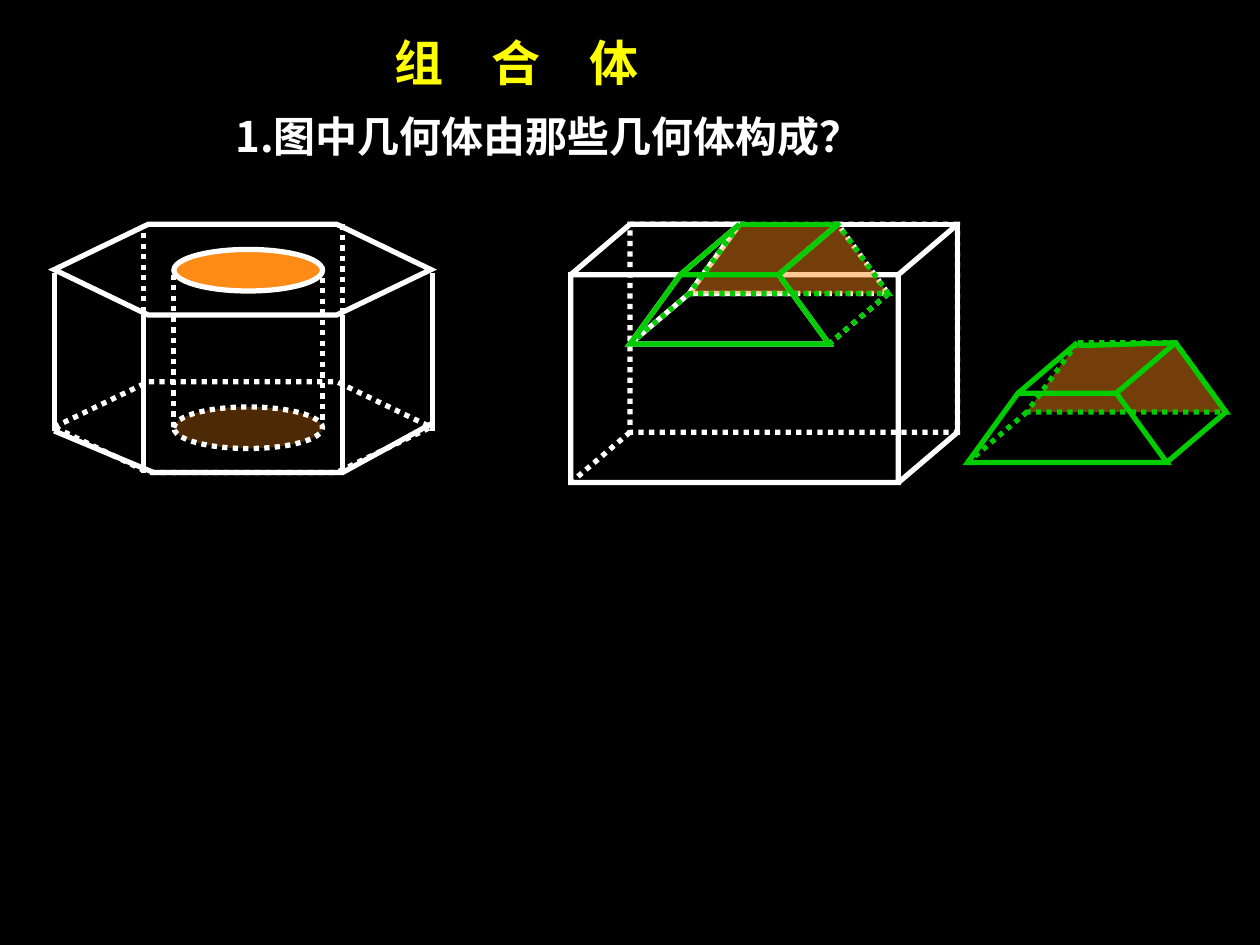
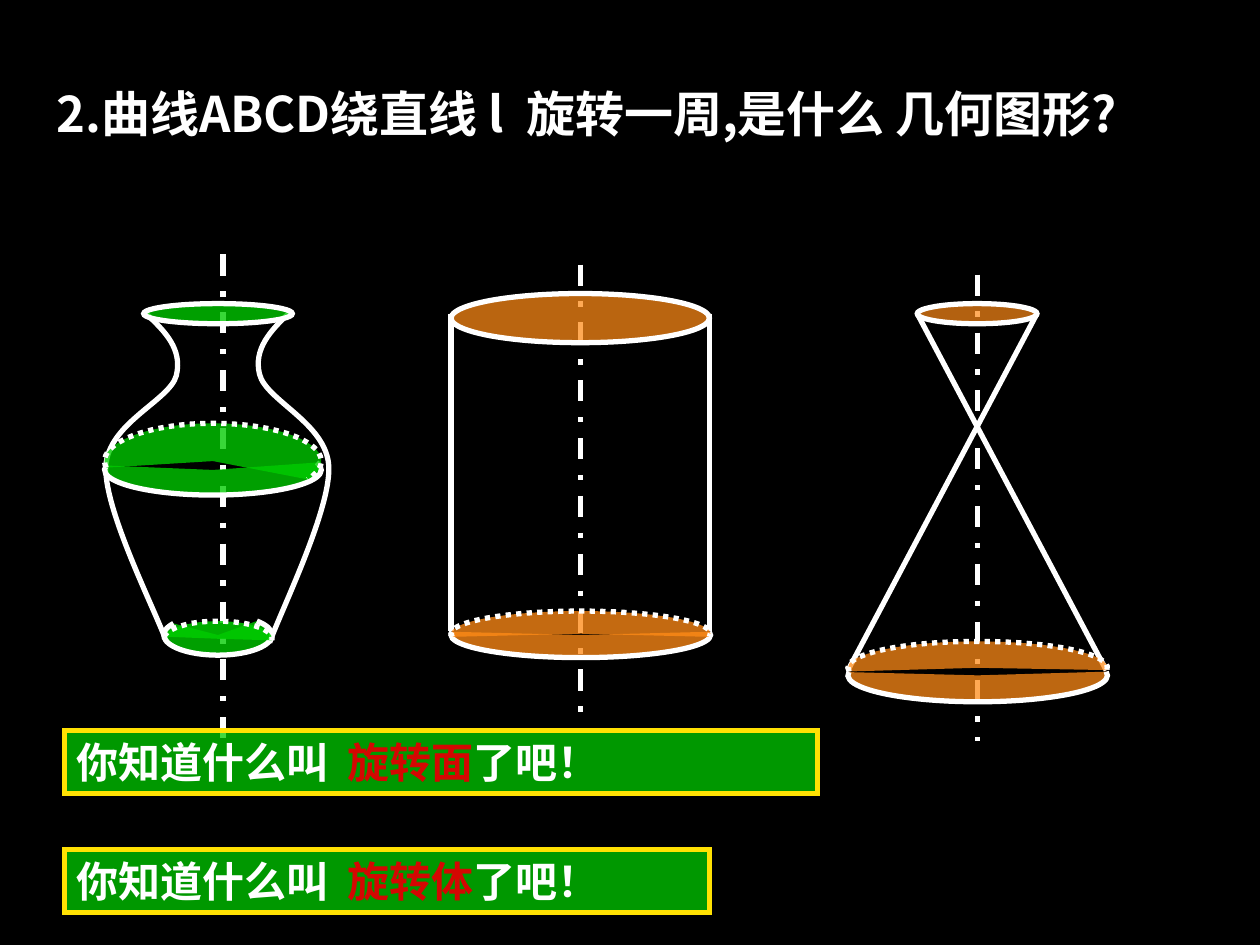
import math
from lxml import etree
from pptx import Presentation
from pptx.dml.color import RGBColor
from pptx.enum import dml, shapes, text
from pptx.oxml import ns
from pptx.util import Inches, Pt

COLORS = {"black": "000000", "white": "FFFFFF", "yellow": "FFFF00", "green": "00CC00",
          "orange": "FF8B17", "gold": "FFE103", "red": "D40702"}
CJK = "Noto Sans CJK SC"
DOT, DASH_DOT = dml.MSO_LINE.ROUND_DOT, dml.MSO_LINE.DASH_DOT
RECT, OVAL, HEXAGON = (shapes.MSO_SHAPE.RECTANGLE, shapes.MSO_SHAPE.OVAL,
                       shapes.MSO_SHAPE.HEXAGON)

# Texts: box, runs of (text, colour, letter spacing), size, font
TITLE = ((3.03, 0.21, 2.76, 0.57), [("组　合　体", "yellow", 0)], 28, "Arial")
QUESTION_1 = ((1.77, 0.83, 5.43, 0.5), [("1.图中几何体由那些几何体构成？", "white", 0)], 24, CJK)
QUESTION_2 = ((0.35, 0.61, 8.95, 1.04),
              [("2.曲线ABCD绕直线 l", "white", 0), (" ", "white", 6.3),
               ("旋转一周,是什么 几何图形?", "white", 0)], 28, CJK)
BANNERS = [((0.51, 5.8, 5.98, 0.5), "旋转面"), ((0.51, 6.74, 5.12, 0.5), "旋转体")]

# Hexagonal prism with a round hole: (x, top, bottom, dash) of each upright
HEX_TOPS = [(3.03, DOT), (1.78, None)]
HEX_BASE = [(0.43, 3.42), (1.22, 3.75), (2.72, 3.75), (3.43, 3.36)]
UPRIGHTS = [(0.43, 2.17, 3.42, None), (1.14, 2.5, 3.75, None), (2.72, 2.5, 3.75, None),
            (3.43, 2.17, 3.42, None), (1.14, 1.85, 3.09, DOT), (2.72, 1.78, 3.03, DOT),
            (1.38, 2.18, 3.43, DOT), (2.56, 2.12, 3.36, DOT)]
HOLE = [(1.98, 1, None), (3.23, 0.3, DOT)]

# Block with a trapezoid notch: back faces, and the step from back to front
NOTCH = [(5.87, 1.78), (5.47, 2.33), (7.05, 2.33), (6.65, 1.78)]
BLOCK = [(5, 1.78), (5, 3.43), (7.6, 3.43), (7.6, 1.78)]
DEPTH = (-0.47, 0.4)
LOOSE = (2.68, 0.94)  # the piece taken out, beside the block

# Bodies of revolution
AXES = [(1.77, 2.02, 5.95), (4.61, 2.1, 5.72), (7.76, 2.18, 5.88)]
VASE_RIGHT = [(2.3, 2.48), (2.15, 2.62), (2.01, 2.77), (2.06, 2.97), (2.11, 3.18),
              (2.6, 3.36), (2.61, 3.71), (2.62, 4.06), (2.22, 4.87), (2.14, 5.1)]
VASE_LEFT = [(1.16, 2.49), (1.31, 2.63), (1.45, 2.77), (1.4, 2.98), (1.35, 3.18),
             (0.85, 3.36), (0.84, 3.71), (0.83, 4.06), (1.24, 4.86), (1.32, 5.09)]
SIDES = [[(5.63, 2.49), (5.63, 5.01)], [(3.58, 2.49), (3.58, 5.01)],
         [(7.28, 2.49), (8.78, 5.32)], [(6.73, 5.32), (8.23, 2.49)]]
RIMS = [((1.14, 2.41, 1.18, 0.16), "green", 0.78), ((3.58, 2.33, 2.05, 0.39), "orange", 0.73),
        ((7.28, 2.41, 0.95, 0.16), "orange", 0.7)]
# centre x, y, radius x, y, start and end angle (clockwise), colour, alpha, dash
HALF_DISCS = [(1.69, 3.73, 0.86, 0.2, -17, 190, "green", 0.78, None),
              (1.69, 3.66, 0.86, 0.3, 170, 389, "green", 0.78, DOT),
              (1.73, 5.04, 0.43, 0.16, -44, 215, "green", 0.78, None),
              (1.73, 5.07, 0.43, 0.14, 187, 365, "green", 0.85, DOT),
              (4.61, 5.04, 1.03, 0.18, -8, 188, "orange", 0.77, None),
              (4.61, 5.03, 1.03, 0.18, 172, 368, "orange", 0.77, DOT),
              (7.76, 5.36, 1.03, 0.21, -8, 187, "orange", 0.74, None),
              (7.76, 5.3, 1.03, 0.21, 172, 365, "orange", 0.74, DOT)]


def rgb(name):
    return RGBColor.from_string(COLORS[name])


def stroke(sp, color, dash):
    sp.line.color.rgb = rgb(color)
    sp.line.width = Pt(3)
    if dash:
        sp.line.dash_style = dash
    etree.SubElement(sp.line._get_or_add_ln(), ns.qn("a:miter"), lim="800000")


def style(sp, line="white", dash=None, fill=None, alpha=1):
    """Outline of 3 points with sharp corners, and a fill that may be see-through."""
    sp.shadow.inherit = False
    if fill:
        sp.fill.solid()
        sp.fill.fore_color.rgb = rgb(fill)
        if alpha < 1:
            clr = sp.fill._xPr.find(".//" + ns.qn("a:srgbClr"))
            etree.SubElement(clr, ns.qn("a:alpha"), val=str(round(alpha * 100000)))
    else:
        sp.fill.background()
    stroke(sp, line, dash)


def add_preset(s, kind, box, **look):
    sp = s.shapes.add_shape(kind, *map(Inches, box))
    style(sp, **look)
    return sp


def add_line(s, start, end, color="white", dash=None):
    c = s.shapes.add_connector(shapes.MSO_CONNECTOR.STRAIGHT, *map(Inches, (*start, *end)))
    stroke(c, color, dash)
    etree.SubElement(c._element.spPr, ns.qn("a:effectLst"))


def add_outline(s, points, close=False, **look):
    pts = [(Inches(x), Inches(y)) for x, y in points]
    fb = s.shapes.build_freeform(*pts[0], scale=1.0)
    fb.add_line_segments(pts[1:], close=close)
    sp = fb.convert_to_shape()
    style(sp, **look)
    return sp


def add_curve(s, points, corners, center=None, **look):
    """Chain of cubic curves; with a center, the wedge is filled and only the arc drawn."""
    sp = add_outline(s, corners, **look)
    path_list = sp._element.spPr.find(".//" + ns.qn("a:pathLst"))
    size = {"w": str(sp.width), "h": str(sp.height)}

    def add_step(track, tag, pts):
        step = etree.SubElement(track, ns.qn(tag))
        for x, y in pts:
            etree.SubElement(step, ns.qn("a:pt"), x=str(Inches(x) - sp.left),
                             y=str(Inches(y) - sp.top))

    def add_track(**flags):
        track = etree.SubElement(path_list, ns.qn("a:path"), **size, **flags)
        add_step(track, "a:moveTo", points[:1])
        for i in range(1, len(points), 3):
            add_step(track, "a:cubicBezTo", points[i:i + 3])
        return track

    path_list.remove(path_list[0])
    if center:
        wedge = add_track(stroke="0")
        add_step(wedge, "a:lnTo", [center])
        etree.SubElement(wedge, ns.qn("a:close"))
    add_track(fill="none")


def add_half_disc(s, cx, cy, rx, ry, start, end, color, alpha, dash):
    def at(x, y):
        return cx + rx * x, cy + ry * y

    turn = math.radians(end - start) / 3
    reach = 4 / 3 * math.tan(turn / 4)
    points = []
    for k in range(4):
        a = math.radians(start) + k * turn
        x, y = math.cos(a), math.sin(a)
        points += [at(x + reach * y, y - reach * x), at(x, y), at(x - reach * y, y + reach * x)]
    corners = [at(-1, -1), at(1, 1)]
    add_curve(s, points[1:-1], corners, (cx, cy), fill=color, alpha=alpha, dash=dash)


def write(sp, runs, size, font):
    tf = sp.text_frame
    tf.word_wrap = True
    tf.vertical_anchor = text.MSO_ANCHOR.TOP
    p = tf.paragraphs[0]
    p.alignment = text.PP_ALIGN.LEFT
    for words, color, spacing in runs:
        r = p.add_run()
        r.text = words
        r.font.size, r.font.bold, r.font.name = Pt(size), True, font
        r.font.color.rgb = rgb(color)
        etree.SubElement(r.font._element, ns.qn("a:ea"), typeface=CJK)
        if spacing:
            r.font._element.set("spc", str(round(spacing * 100)))


def add_text(s, box, runs, size, font):
    write(s.shapes.add_textbox(*map(Inches, box)), runs, size, font)


def shift(points, step):
    return [(x + step[0], y + step[1]) for x, y in points]


def add_frustum(s, back, dashes):
    """Green trapezoid prism; dashes go with its four depth edges."""
    front = shift(back, DEPTH)
    add_outline(s, back, close=True, line="green", dash=DOT, fill="orange", alpha=0.45)
    add_outline(s, front, close=True, line="green")
    for a, b, dash in zip(back, front, dashes):
        add_line(s, a, b, "green", dash)


def add_prism(s):
    for top, dash in HEX_TOPS:
        sp = add_preset(s, HEXAGON, (0.43, top, 2.99, 0.72), dash=dash)
        sp.adjustments[0] = 1.037
    add_outline(s, HEX_BASE)
    for x, top, bottom, dash in UPRIGHTS:
        add_line(s, (x, top), (x, bottom), dash=dash)
    for top, alpha, dash in HOLE:
        add_preset(s, OVAL, (1.38, top, 1.18, 0.33), fill="orange", alpha=alpha, dash=dash)


def add_block(s):
    a, b, c, d = NOTCH
    back = [a, *BLOCK, d, c, b]
    front = shift(back, DEPTH)
    add_outline(s, back, close=True, dash=DOT)
    add_outline(s, front, close=True)
    hidden = (BLOCK[1], c)
    for p, q in zip(back, front):
        add_line(s, p, q, dash=DOT if p in hidden else None)
    add_outline(s, [BLOCK[0], a, b, (6.34, 2.33)])
    add_outline(s, [d, BLOCK[3], BLOCK[2]])


def build_composites(s):
    add_text(s, *QUESTION_1)
    add_prism(s)
    add_block(s)
    # Loose piece, then the same piece in its notch
    loose = shift(NOTCH, LOOSE)
    add_frustum(s, loose, (None, DOT, None, None))
    add_outline(s, [(8.56, 2.74), (8.67, 2.74), loose[3], loose[2]], line="green")
    add_frustum(s, NOTCH, (None, DOT, DOT, None))
    add_line(s, NOTCH[0], NOTCH[3], "green")
    add_text(s, *TITLE)


def build_revolutions(s):
    add_text(s, *QUESTION_2)
    for x, top, bottom in AXES:
        add_line(s, (x, top), (x, bottom), dash=DASH_DOT)
    for profile in (VASE_RIGHT, VASE_LEFT):
        add_curve(s, profile, profile[::3])
    for start, end in SIDES:
        add_line(s, start, end)
    for box, color, alpha in RIMS:
        add_preset(s, OVAL, box, fill=color, alpha=alpha)
    for disc in HALF_DISCS:
        add_half_disc(s, *disc)
    for box, term in BANNERS:
        sp = add_preset(s, RECT, box, line="gold", fill="green", alpha=0.75)
        runs = [("你知道什么叫", "white", 0), (" ", "white", 5.1), (term, "red", 0),
                ("了吧！", "white", 0)]
        write(sp, runs, 24, CJK)


def main():
    prs = Presentation()
    prs.slide_width, prs.slide_height = Inches(10), Inches(7.5)
    for build in (build_composites, build_revolutions):
        s = prs.slides.add_slide(prs.slide_layouts[6])
        s.background.fill.solid()
        s.background.fill.fore_color.rgb = rgb("black")
        build(s)
    prs.save("out.pptx")


if __name__ == "__main__":
    main()
